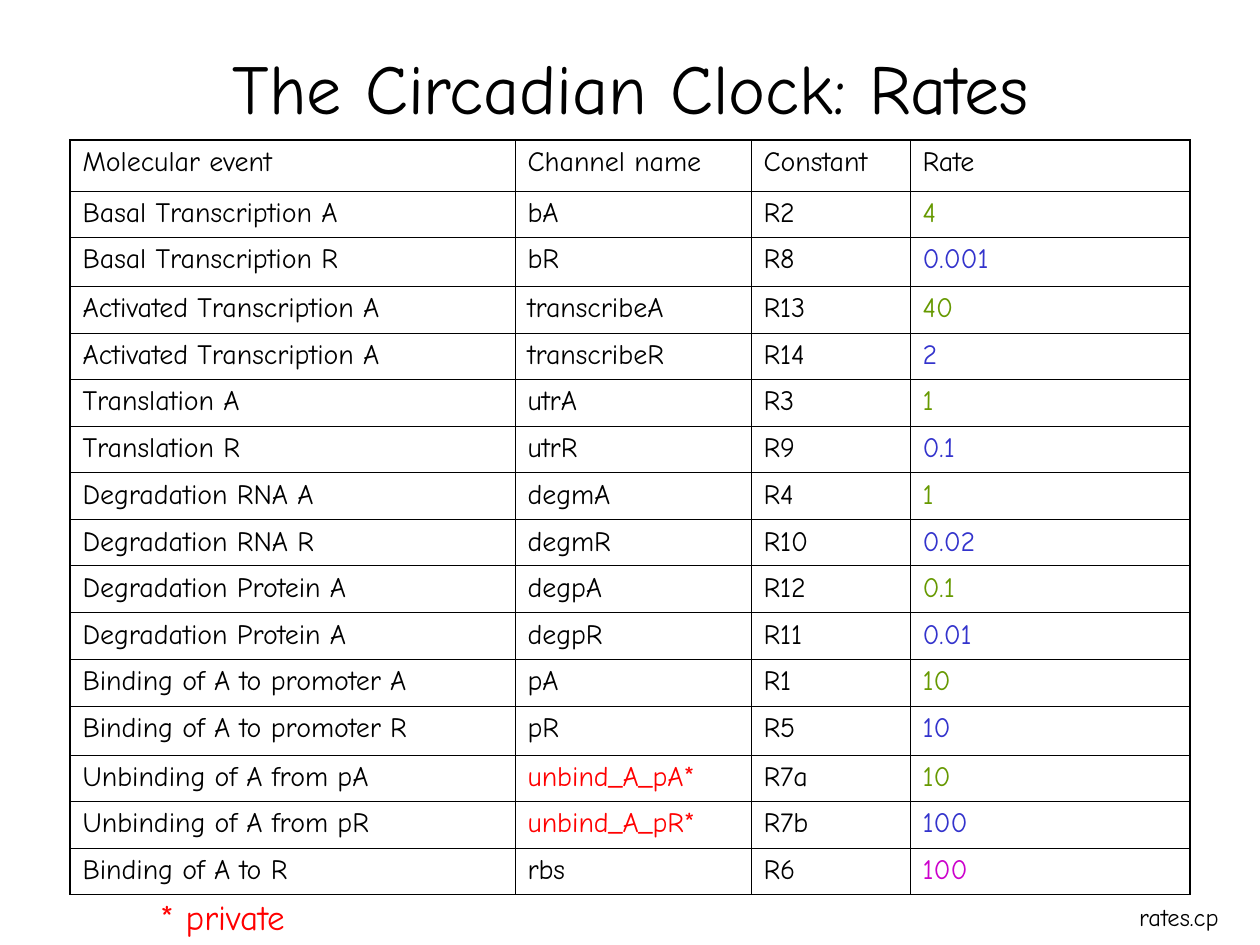
from itertools import pairwise
from lxml.etree import SubElement
from pptx import Presentation
from pptx.dml.color import RGBColor
from pptx.enum.text import MSO_ANCHOR, PP_ALIGN
from pptx.oxml.ns import qn
from pptx.util import Emu, Pt

PX = 914400 / 126
FONT = "Comic Neue"
BLACK = RGBColor(0x00, 0x00, 0x00)
RED = RGBColor(0xFF, 0x00, 0x00)
GREEN = RGBColor(0x66, 0x99, 0x00)
BLUE = RGBColor(0x33, 0x33, 0xCC)
MAGENTA = RGBColor(0xCC, 0x00, 0xCC)
THIN, THICK = 0.45, 1.08

COLUMN_WIDTHS = [445, 236, 159, 280]
ROW_EDGES = [140, 191, 237, 286, 333, 379, 426, 472, 519,
             565, 612, 658, 705, 754, 800, 847, 893]
HEADER = ("Molecular event", "Channel name", "Constant", "Rate")
RATES = [
    ("Basal Transcription A", "bA", "R2", "4"),
    ("Basal Transcription R", "bR", "R8", "0.001"),
    ("Activated Transcription A", "transcribeA", "R13", "40"),
    ("Activated Transcription A", "transcribeR", "R14", "2"),
    ("Translation A", "utrA", "R3", "1"),
    ("Translation R", "utrR", "R9", "0.1"),
    ("Degradation RNA A", "degmA", "R4", "1"),
    ("Degradation RNA R", "degmR", "R10", "0.02"),
    ("Degradation Protein A", "degpA", "R12", "0.1"),
    ("Degradation Protein A", "degpR", "R11", "0.01"),
    ("Binding of A to promoter A", "pA", "R1", "10"),
    ("Binding of A to promoter R", "pR", "R5", "10"),
    ("Unbinding of A from pA", "unbind_A_pA*", "R7a", "10"),
    ("Unbinding of A from pR", "unbind_A_pR*", "R7b", "100"),
    ("Binding of A to R", "rbs", "R6", "100"),
]


def px(n):
    return Emu(round(n * PX))


def write(tf, text, size=16, color=BLACK, align=PP_ALIGN.LEFT, before=0):
    p = tf.paragraphs[0]
    p.alignment = align
    p.space_before = Pt(before)
    r = p.add_run()
    r.text = text
    r.font.name = FONT
    r.font.size = Pt(size)
    r.font.color.rgb = color


def add_label(s, box, text, wrap=False, **fmt):
    sp = s.shapes.add_textbox(*map(px, box))
    tf = sp.text_frame
    tf.word_wrap = wrap
    tf.vertical_anchor = MSO_ANCHOR.MIDDLE
    write(tf, text, align=PP_ALIGN.CENTER, **fmt)


def set_borders(cell, **widths):
    tc_pr = cell._tc.get_or_add_tcPr()
    for side in ("L", "R", "T", "B"):
        ln = SubElement(tc_pr, qn(f"a:ln{side}"), w=str(Pt(widths[side])))
        fill = SubElement(ln, qn("a:solidFill"))
        SubElement(fill, qn("a:srgbClr"), val=str(BLACK))


def cell_color(row, col, text):
    if text.endswith("*"):
        return RED
    if row == 0 or col < len(HEADER) - 1:
        return BLACK
    if row == len(RATES):
        return MAGENTA
    return GREEN if row % 2 else BLUE


def add_rates_table(s, left, top):
    rows = [HEADER, *RATES]
    heights = [b - a for a, b in pairwise(ROW_EDGES)]
    last_row, last_col = len(rows) - 1, len(HEADER) - 1
    box = (left, top, sum(COLUMN_WIDTHS), sum(heights))
    table = s.shapes.add_table(len(rows), len(HEADER), *map(px, box)).table
    table.first_row = table.horz_banding = False
    for column, width in zip(table.columns, COLUMN_WIDTHS):
        column.width = px(width)
    for i, (values, height) in enumerate(zip(rows, heights)):
        table.rows[i].height = px(height)
        for j, text in enumerate(values):
            cell = table.cell(i, j)
            set_borders(
                cell,
                L=THICK if j == 0 else THIN,
                R=THICK if j == last_col else THIN,
                T=THICK if i == 0 else THIN,
                B=THICK if i == last_row else THIN,
            )
            cell.fill.background()
            write(cell.text_frame, text, color=cell_color(i, j, text), before=4)


def main():
    prs = Presentation()
    prs.slide_width, prs.slide_height = px(1260), px(945)
    s = prs.slides.add_slide(prs.slide_layouts[6])
    add_label(s, (95, 8, 1071, 157), "The Circadian Clock: Rates", wrap=True, size=40)
    add_label(s, (1015, 883, 328, 68), "rates.cp", size=14)
    add_rates_table(s, 70, ROW_EDGES[0])
    add_label(s, (56, 898, 333, 37), "* private", size=20, color=RED)
    prs.save("out.pptx")


if __name__ == "__main__":
    main()
